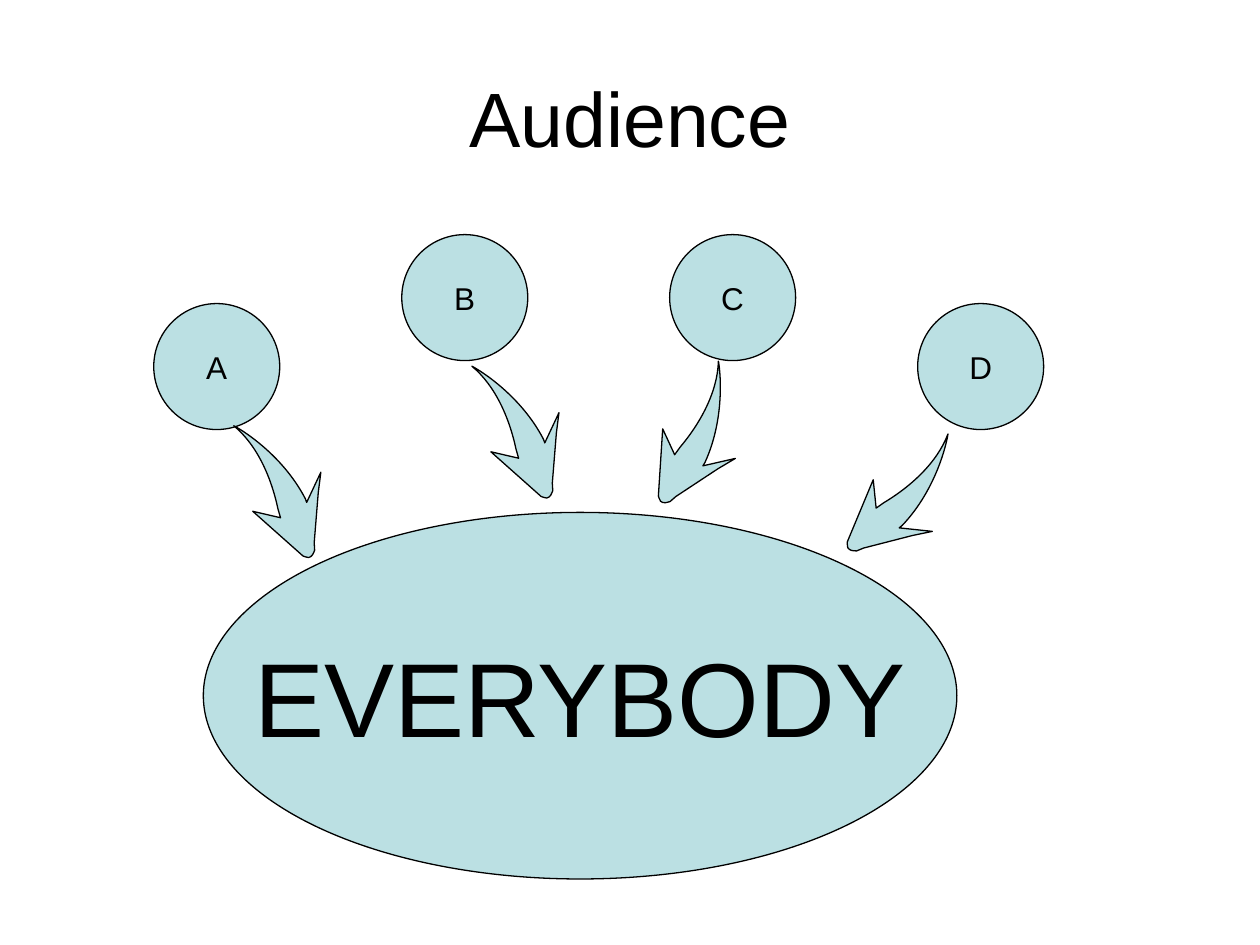
from copy import deepcopy
from dataclasses import dataclass

from pptx import Presentation
from pptx.dml.color import RGBColor as RGB
from pptx.enum.shapes import MSO_SHAPE as SHAPE
from pptx.enum.text import MSO_ANCHOR as ANCHOR, PP_ALIGN as ALIGN
from pptx.oxml.ns import qn
from pptx.util import Cm, Pt


@dataclass(frozen=True)
class Theme:
    font: str = "Arial"
    ink: RGB = RGB(0x00, 0x00, 0x00)
    fill: RGB = RGB(0xBB, 0xE0, 0xE3)
    line: float = 0.75
    title: int = 44
    crowd: int = 60
    group: int = 18


THEME = Theme()

# Content: lengths in cm, boxes as left, top, width, height
TITLE = ("Audience", (1.27, 0.76, 22.86, 3.18))
CROWD = ("EVERYBODY", (4.1, 10.33, 15.19, 7.39))
GROUP_SIZE = 2.54
GROUPS = [  # label, circle corner, arrow corner, arrow rotation
    ("A", (3.1, 6.12), (4.3, 8.93), 200),
    ("B", (8.1, 4.73), (9.1, 7.73), 200),
    ("C", (13.5, 4.73), (12.71, 7.73), 252),
    ("D", (18.5, 6.12), (16.9, 8.93), 271),
]

# Curved arrow before rotation: one point is a line, three are a Bezier curve
ARROW_START = (0.13, 0)
ARROW = [
    [(0.07, 0), (0.05, 0.01), (0.03, 0.04)],
    [(0.01, 0.05), (0, 0.11), (0, 0.19)],
    [(0.06, 0.33)], [(0.33, 1.31)], [(0.42, 1.71)], [(0.48, 1.04)], [(0.53, 1.1)],
    [(1.29, 1.8), (2.28, 1.98), (2.39, 1.99)],
    [(1.8, 1.78), (1.31, 1.25), (0.98, 0.72)],
    [(0.87, 0.57)], [(1.44, 0.5)], [(0.18, 0)],
]


def paint(sp):
    sp.shadow.inherit = False
    sp.fill.solid()
    sp.fill.fore_color.rgb = THEME.fill
    sp.line.color.rgb = THEME.ink
    sp.line.width = Pt(THEME.line)


def write(sp, text, size, wrap=False):
    tf = sp.text_frame
    tf.text = text
    tf.word_wrap = wrap
    tf.vertical_anchor = ANCHOR.MIDDLE
    p = tf.paragraphs[0]
    p.alignment = ALIGN.CENTER
    font = p.runs[0].font
    font.name, font.size = THEME.font, Pt(size)
    font.color.rgb = THEME.ink


def add_oval(shapes, text, box, size):
    sp = shapes.add_shape(SHAPE.OVAL, *map(Cm, box))
    paint(sp)
    write(sp, text, size)


def bend(sp, segments):
    """Turn the lines that have control points into Bezier curves."""
    for line, (*controls, _) in zip(sp.element.xpath(".//a:lnTo"), segments):
        if not controls:
            continue
        line.tag = qn("a:cubicBezTo")
        end = line[0]
        for x, y in controls:
            pt = deepcopy(end)
            pt.set("x", str(Cm(x)))
            pt.set("y", str(Cm(y)))
            end.addprevious(pt)


def add_arrow(shapes, corner, rotation):
    builder = shapes.build_freeform(*map(Cm, ARROW_START))
    ends = [(Cm(x), Cm(y)) for *_, (x, y) in ARROW]
    builder.add_line_segments(ends, close=True)
    sp = builder.convert_to_shape(*map(Cm, corner))
    bend(sp, ARROW)
    sp.rotation = rotation
    paint(sp)


def main():
    prs = Presentation()
    prs.slide_width, prs.slide_height = Cm(25.4), Cm(19.05)
    s = prs.slides.add_slide(prs.slide_layouts[6])

    # Title
    text, box = TITLE
    write(s.shapes.add_textbox(*map(Cm, box)), text, THEME.title, wrap=True)

    # Whole audience and its groups
    add_oval(s.shapes, *CROWD, THEME.crowd)
    for label, corner, _, _ in GROUPS:
        add_oval(s.shapes, label, (*corner, GROUP_SIZE, GROUP_SIZE), THEME.group)

    # Arrows from the groups to the whole
    for _, _, corner, rotation in GROUPS:
        add_arrow(s.shapes, corner, rotation)

    prs.save("out.pptx")


if __name__ == "__main__":
    main()
